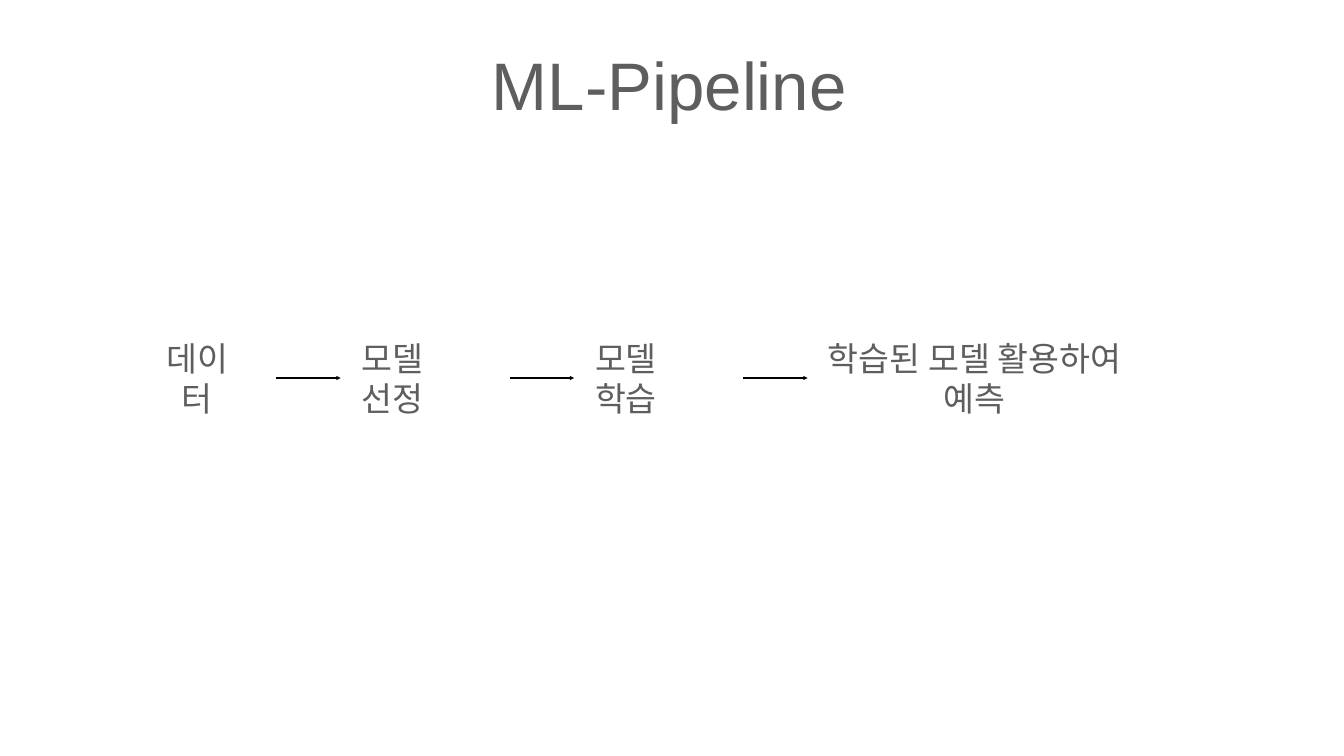
from dataclasses import dataclass

from lxml.etree import SubElement
from pptx import Presentation
from pptx.dml.color import RGBColor
from pptx.enum.shapes import MSO_CONNECTOR
from pptx.enum.text import MSO_ANCHOR, MSO_AUTO_SIZE as AUTO, PP_ALIGN
from pptx.oxml.ns import qn
from pptx.util import Cm, Pt


@dataclass(frozen=True)
class Theme:
    font: str = "Arial"
    text: RGBColor = RGBColor(0x5E, 0x5E, 0x5E)
    line: RGBColor = RGBColor(0, 0, 0)
    background: RGBColor = RGBColor(0xFF, 0xFF, 0xFF)
    title_size: int = 96
    step_size: int = 48
    line_width: int = 2
    inset: float = 0.14


class SlideBuilder:
    def __init__(self, s, theme):
        self.s = s
        self.theme = theme
        fill = s.background.fill
        fill.solid()
        fill.fore_color.rgb = theme.background

    def label(self, text, x, y, w, h, size, text_w):
        """Centre the text in a column text_w wide at the left of the box."""
        sp = self.s.shapes.add_textbox(Cm(x), Cm(y), Cm(w), Cm(h))
        tf = sp.text_frame
        tf.text = text
        tf.word_wrap = True
        tf.auto_size = AUTO.NONE
        tf.vertical_anchor = MSO_ANCHOR.MIDDLE
        tf.margin_left, tf.margin_right = 0, Cm(w - text_w)
        tf.margin_top = tf.margin_bottom = Cm(self.theme.inset)
        p = tf.paragraphs[0]
        p.alignment = PP_ALIGN.CENTER
        font = p.runs[0].font
        font.name = self.theme.font
        font.size = Pt(size)
        font.color.rgb = self.theme.text

    def arrow(self, x, y, length):
        c = self.s.shapes.add_connector(
            MSO_CONNECTOR.STRAIGHT, Cm(x), Cm(y), Cm(x + length), Cm(y))
        c.line.color.rgb = self.theme.line
        c.line.width = Pt(self.theme.line_width)
        SubElement(c.line._get_or_add_ln(), qn("a:tailEnd"), type="triangle")
        SubElement(c._element.spPr, qn("a:effectLst"))


def main():
    width, height = 67.74, 38.1
    prs = Presentation()
    prs.slide_width, prs.slide_height = Cm(width), Cm(height)
    theme = Theme()
    slide = SlideBuilder(prs.slides.add_slide(prs.slide_layouts[6]), theme)

    # Title, centred on the slide
    title_w = 18.44
    slide.label("ML-Pipeline", (width - title_w) / 2, 2.13, title_w, 4.22,
                theme.title_size, 18.17)

    # Pipeline steps (text, width, height, text width), joined by arrows
    steps = [
        ("데이터", 4.72, 2.29, 3.36),
        ("모델 선정", 6.65, 2.39, 3.36),
        ("모델 학습", 6.65, 2.39, 3.36),
        ("학습된 모델 활용하여 예측", 17.83, 2.39, 14.96),
    ]
    x, middle, gap, arrow_length = 8.26, height / 2, 0.93, 3.26
    for i, (text, w, h, text_w) in enumerate(steps):
        if i:
            slide.arrow(x + gap, middle, arrow_length)
            x += arrow_length + 2 * gap
        slide.label(text, x, middle - h / 2, w, h, theme.step_size, text_w)
        x += w

    prs.save("out.pptx")


if __name__ == "__main__":
    main()
